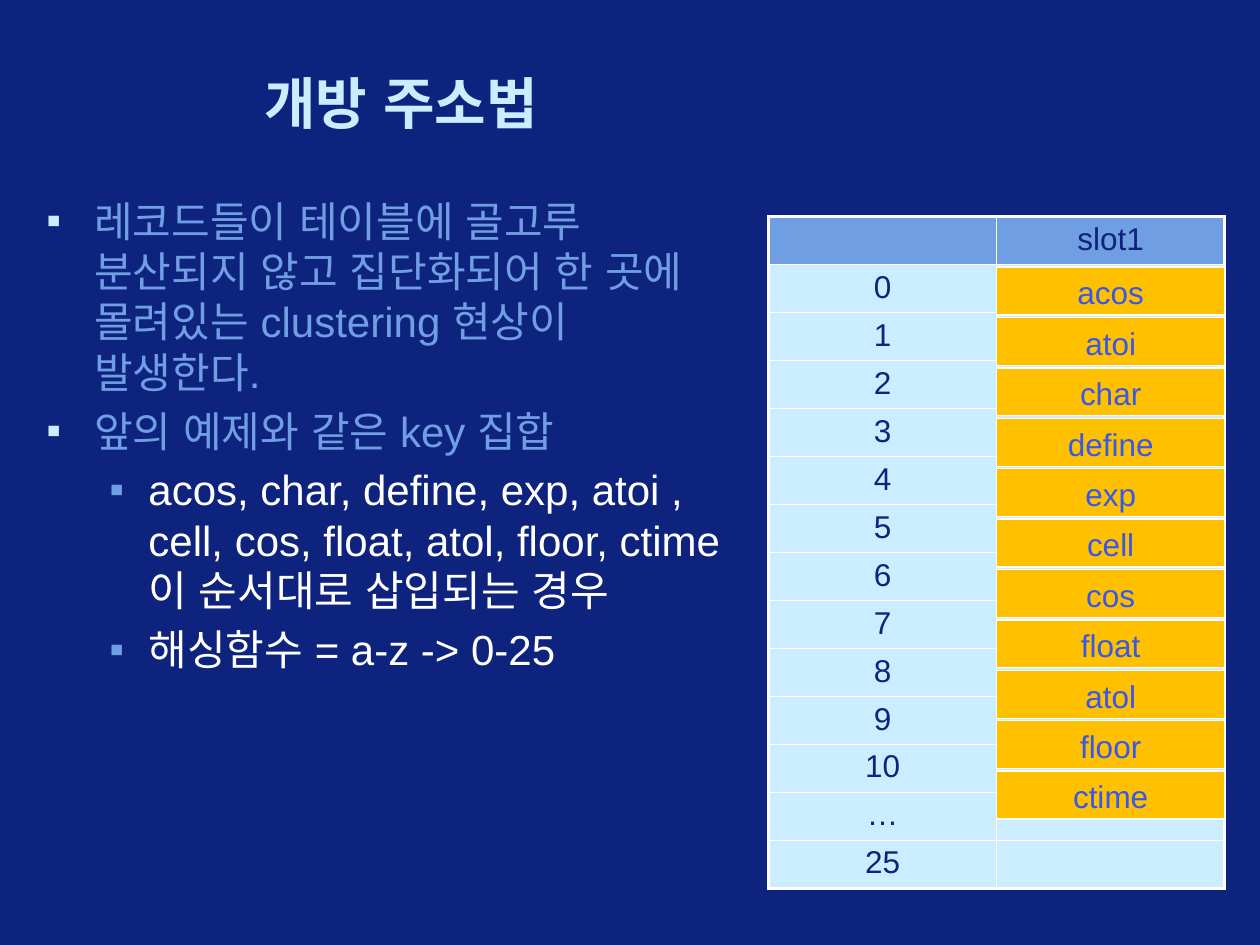
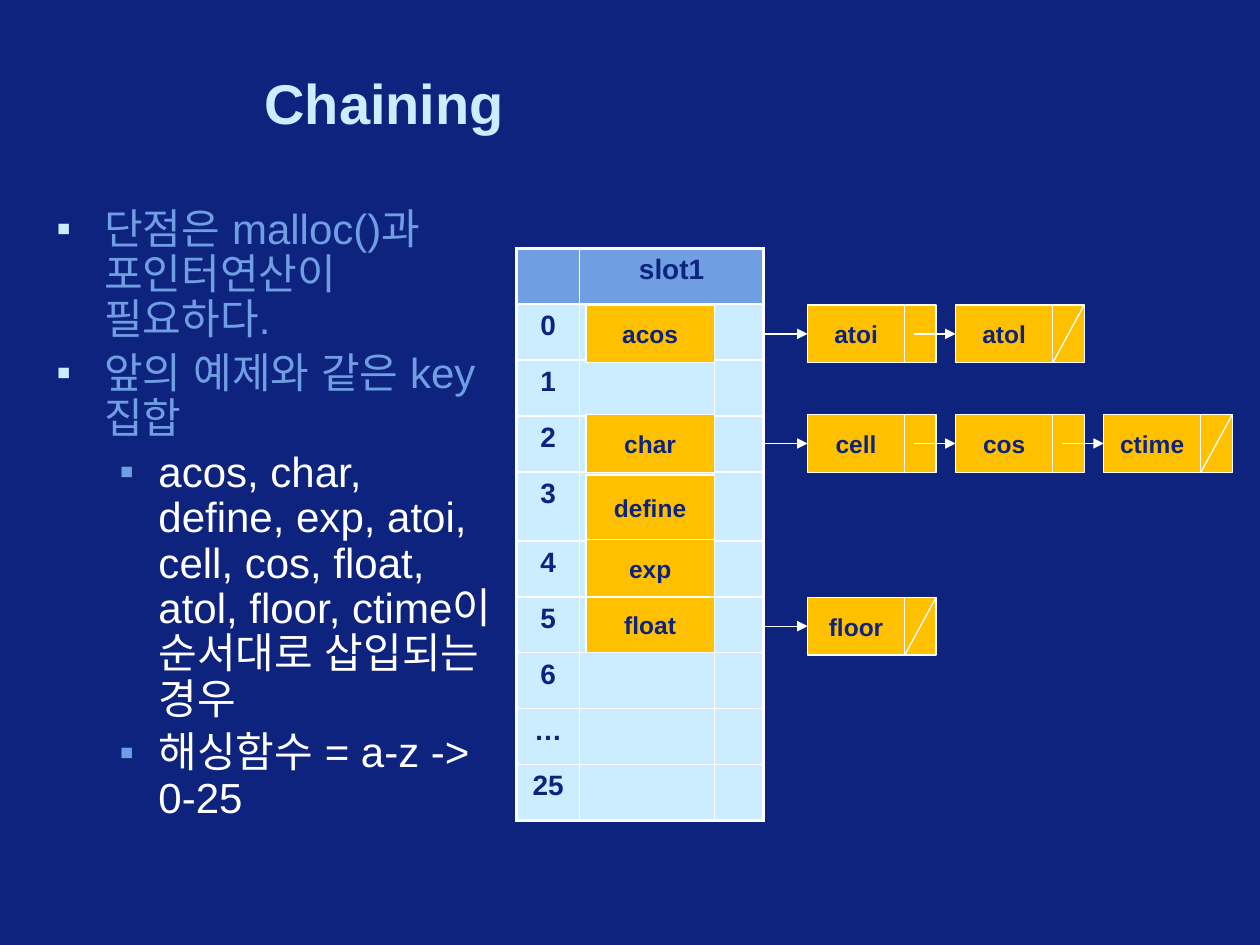
from dataclasses import dataclass

from lxml import etree
from pptx import Presentation
from pptx.dml.color import RGBColor
from pptx.enum.lang import MSO_LANGUAGE_ID
from pptx.enum.shapes import MSO_CONNECTOR, MSO_SHAPE
from pptx.enum.text import MSO_ANCHOR, PP_ALIGN
from pptx.oxml.ns import qn
from pptx.util import Inches, Pt

RECT = MSO_SHAPE.RECTANGLE
LINE = MSO_CONNECTOR.STRAIGHT
CENTER = PP_ALIGN.CENTER
TOP, MIDDLE = MSO_ANCHOR.TOP, MSO_ANCHOR.MIDDLE
KOREAN = MSO_LANGUAGE_ID.KOREAN

# Shared look
FONT = "Arial"
NAVY, ICE, SKY = "0E237E", "CCECFF", "709EE2"
WHITE, GOLD, BLUE = "FFFFFF", "FFC000", "3758E9"
THIN, THICK, HAIR = 1, 2.25, 0.75

# The slide is a grid of 100 columns by 75 rows
COLS, ROWS = 100, 75
WIDTH, HEIGHT = Inches(10), Inches(7.5)


@dataclass(frozen=True)
class Box:
    left: float
    top: float
    wide: float
    high: float

    def place(self) -> tuple:
        return across(self.left), down(self.top), across(self.wide), down(self.high)


@dataclass(frozen=True)
class Style:
    size: float
    color: str
    bold: bool = False


@dataclass(frozen=True)
class Point:
    text: str
    level: int = 0


@dataclass(frozen=True)
class Level:
    left: float
    hang: float
    bullet: str
    color: str


@dataclass(frozen=True)
class Slot:
    word: str
    top: float
    high: float
    chain: tuple = ()


@dataclass(frozen=True)
class Grid:
    left: float
    top: float
    cols: tuple
    rows: tuple
    keys: tuple
    style: Style
    inset: float


LEVELS = (Level(3.8, 3.8, ICE, SKY), Level(8.1, 3.1, SKY, WHITE))
TITLE = Box(20, 5, 75.8, 6.2)
HEAD = Style(32, ICE, True)
BODY = 24


def across(cols: float) -> int:
    return round(WIDTH * cols / COLS)


def down(rows: float) -> int:
    return round(HEIGHT * rows / ROWS)


def paint(color: str) -> RGBColor:
    return RGBColor.from_string(color)


# Text
def write(para, text: str, style: Style) -> None:
    run = para.add_run()
    run.text = text
    font = run.font
    font.name, font.size, font.bold = FONT, Pt(style.size), style.bold
    font.color.rgb = paint(style.color)
    font.language_id = KOREAN


def add_text(slide, box: Box, anchor):
    frame = slide.shapes.add_textbox(*box.place()).text_frame
    frame.word_wrap = True
    frame.vertical_anchor = anchor
    return frame


def add_list(slide, box: Box, points: tuple, pitch: float) -> None:
    frame = add_text(slide, box, TOP)
    for i, point in enumerate(points):
        para = frame.add_paragraph() if i else frame.paragraphs[0]
        level = LEVELS[point.level]
        para.level = point.level
        para.line_spacing = pitch
        para.space_before = Pt(BODY * 0.2)
        props = para._p.get_or_add_pPr()
        props.set("marL", str(across(level.left)))
        props.set("indent", str(-across(level.hang)))
        tint = etree.SubElement(props, qn("a:buClr"))
        etree.SubElement(tint, qn("a:srgbClr"), val=level.bullet)
        etree.SubElement(props, qn("a:buFont"), typeface=FONT)
        etree.SubElement(props, qn("a:buChar"), char="▪")
        write(para, point.text, Style(BODY, level.color))


def add_page(deck, title: str):
    slide = deck.slides.add_slide(deck.slide_layouts[6])
    fill = slide.background.fill
    fill.solid()
    fill.fore_color.rgb = paint(NAVY)
    write(add_text(slide, TITLE, MIDDLE).paragraphs[0], title, HEAD)
    return slide


# Boxes and lines
def add_box(slide, box: Box, text: str = "", style: Style = HEAD,
            anchor=MIDDLE, wrap: bool = False) -> None:
    shape = slide.shapes.add_shape(RECT, *box.place())
    shape.shadow.inherit = False
    shape.fill.solid()
    shape.fill.fore_color.rgb = paint(GOLD)
    shape.line.color.rgb = paint(WHITE)
    shape.line.width = Pt(HAIR)
    if text:
        frame = shape.text_frame
        frame.word_wrap = wrap
        frame.vertical_anchor = anchor
        para = frame.paragraphs[0]
        para.alignment = CENTER
        write(para, text, style)


def add_line(slide, x: float, y: float, to_x: float, to_y: float,
             arrow: bool = False) -> None:
    line = slide.shapes.add_connector(
        LINE, across(x), down(y), across(to_x), down(to_y))
    line.line.color.rgb = paint(WHITE)
    line.line.width = Pt(HAIR)
    props = line._element.spPr
    if arrow:
        etree.SubElement(props.find(qn("a:ln")), qn("a:tailEnd"), type="triangle")
    etree.SubElement(props, qn("a:effectLst"))


# Hash table
def edge(cell, sides: dict) -> None:
    props = cell._tc.get_or_add_tcPr()
    for i, (side, width) in enumerate(sides.items()):
        line = etree.Element(qn(f"a:ln{side}"), w=str(Pt(width)))
        fill = etree.SubElement(line, qn("a:solidFill"))
        etree.SubElement(fill, qn("a:srgbClr"), val=WHITE)
        props.insert(i, line)


def add_grid(slide, grid: Grid) -> None:
    wide, high = len(grid.cols), len(grid.rows)
    box = Box(grid.left, grid.top, sum(grid.cols), sum(grid.rows))
    table = slide.shapes.add_table(high, wide, *box.place()).table
    table.first_row = table.horz_banding = False
    for col, size in zip(table.columns, grid.cols):
        col.width = across(size)
    for row, size in zip(table.rows, grid.rows):
        row.height = down(size)
    if wide > 2:
        table.cell(0, 1).merge(table.cell(0, wide - 1))
    words = {(0, 1): "slot1"}
    words.update({(r, 0): key for r, key in enumerate(grid.keys, 1)})
    for r in range(high):
        for c in range(wide):
            cell = table.cell(r, c)
            cell.margin_top = cell.margin_bottom = down(grid.inset)
            cell.fill.solid()
            cell.fill.fore_color.rgb = paint(ICE if r else SKY)
            last = c + cell.span_width >= wide
            edge(cell, {"L": THIN if c else THICK, "R": THICK if last else THIN,
                        "T": THIN if r else THICK,
                        "B": THICK if r == high - 1 else THIN})
            if (r, c) in words:
                para = cell.text_frame.paragraphs[0]
                para.alignment = CENTER
                write(para, words[r, c], grid.style)


# Slide 1: open addressing
def add_open(deck) -> None:
    slide = add_page(deck, "개방 주소법")
    add_list(slide, Box(2.7, 15, 56.5, 51.7), (
        Point("레코드들이 테이블에 골고루 분산되지 않고 집단화되어 한 곳에 "
              "몰려있는 clustering 현상이 발생한다."),
        Point("앞의 예제와 같은 key 집합"),
        Point("acos, char, define, exp, atoi , cell, cos, float, atol, floor, "
              "ctime이 순서대로 삽입되는 경우", 1),
        Point("해싱함수 = a-z -> 0-25", 1)), 1)
    keys = (*map(str, range(11)), "…", "25")
    add_grid(slide, Grid(61, 17.2, (18.1,) * 2, (3.81,) * 14, keys,
                         Style(18, NAVY), 0.4))
    words = ("acos", "atoi", "char", "define", "exp", "cell", "cos", "float",
             "atol", "floor", "ctime")
    for i, word in enumerate(words):
        add_box(slide, Box(79.1, 21.2 + 4 * i, 18.1, 3.8), word,
                Style(18, BLUE), TOP, True)


# Slide 2: chaining
NODE, LINK, STEP = 7.7, 2.5, 11.75
FIRST, TALL = 64.1, 4.6
LABEL = Style(14, NAVY, True)
SLOTS = (
    Slot("acos", 24.2, 4.6, ("atoi", "atol")),
    Slot("char", 32.9, 4.6, ("cell", "cos", "ctime")),
    Slot("define", 37.7, 5.2),
    Slot("exp", 42.8, 4.6),
    Slot("float", 47.4, 4.4, ("floor",)))


def add_chain(slide, slot: Slot) -> None:
    mid = slot.top + TALL / 2
    for i, word in enumerate(slot.chain):
        left = FIRST + STEP * i
        link = left + NODE
        add_box(slide, Box(left, slot.top, NODE, TALL), word, LABEL)
        add_box(slide, Box(link, slot.top, LINK, TALL))
        if i == len(slot.chain) - 1:
            add_line(slide, link + LINK, slot.top, link, slot.top + TALL)
        start = left - STEP + 8.4 if i else left - 3.5
        add_line(slide, start, mid, left, mid, True)


def add_chains(deck) -> None:
    slide = add_page(deck, "Chaining")
    add_list(slide, Box(3.5, 16, 37, 52.7), (
        Point("단점은 malloc()과 포인터연산이 필요하다."),
        Point("앞의 예제와 같은 key 집합"),
        Point("acos, char, define, exp, atoi, cell, cos, float, atol, floor, "
              "ctime이 순서대로 삽입되는 경우", 1),
        Point("해싱함수 = a-z -> 0-25", 1)), 0.9)
    keys = (*map(str, range(7)), "…", "25")
    rows = (4.44,) * 4 + (5.48,) + (4.44,) * 5
    add_grid(slide, Grid(41, 19.7, (5, 10.7, 3.9), rows, keys,
                         Style(16, NAVY, True), 0.5))
    for slot in SLOTS:
        add_chain(slide, slot)
        add_box(slide, Box(46.5, slot.top, 10.2, slot.high), slot.word, LABEL)


def main() -> None:
    deck = Presentation()
    deck.slide_width, deck.slide_height = WIDTH, HEIGHT
    add_open(deck)
    add_chains(deck)
    deck.save("out.pptx")


if __name__ == "__main__":
    main()
